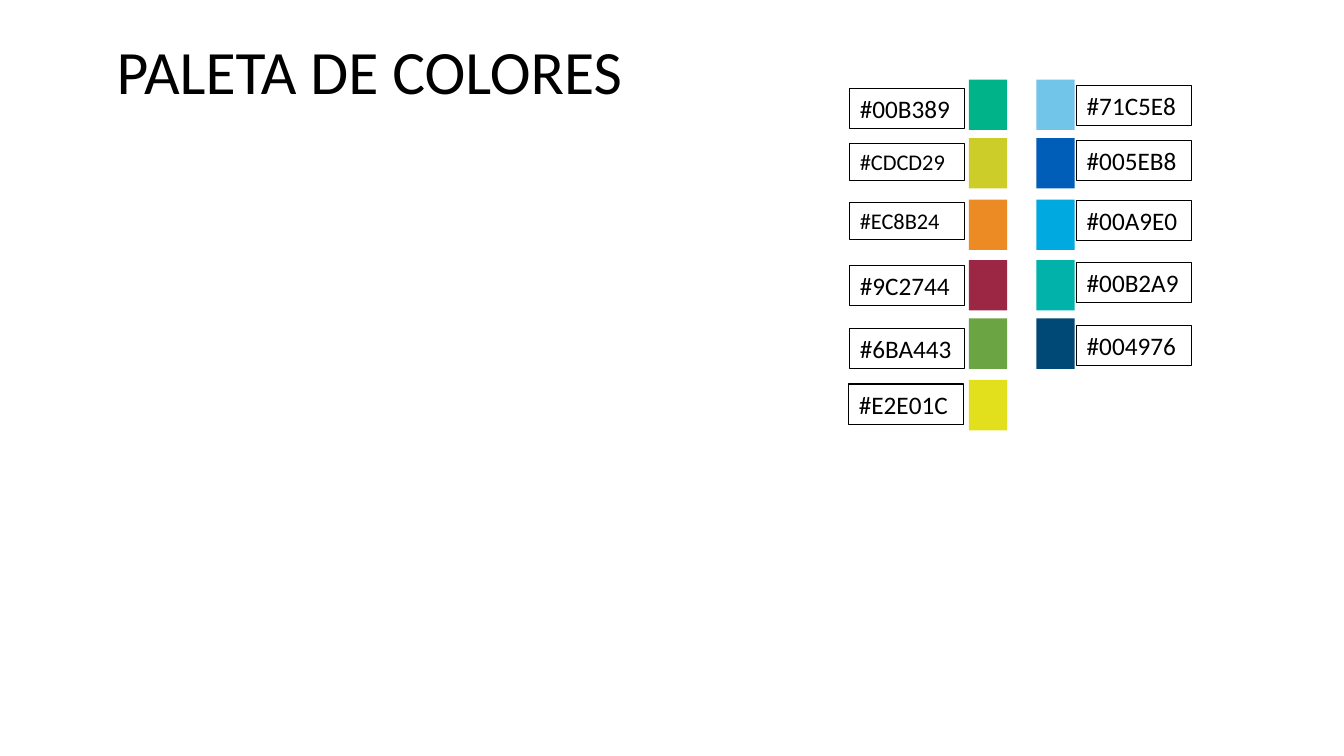
"""Build the colour palette slide."""
from pptx import Presentation
from pptx.dml.color import RGBColor
from pptx.enum.shapes import MSO_SHAPE
from pptx.enum.text import MSO_ANCHOR, PP_ALIGN
from pptx.util import Inches, Pt

TITLE = "PALETA DE COLORES"
COLORS = {"ink": "000000"}
TOPS = [0.79, 1.37, 1.98, 2.58, 3.16, 3.77]
SWATCH = (0.38, 0.5)
LABEL_W = 1.14
LABEL_H = {18: 0.4, 16: 0.37}
COLUMNS = [
    {"swatch": 10.28, "labels": [
        ("#71C5E8", 10.68, 0.85, 18),
        ("#005EB8", 10.68, 1.39, 18),
        ("#00A9E0", 10.68, 1.99, 18),
        ("#00B2A9", 10.68, 2.6, 18),
        ("#004976", 10.68, 3.23, 18),
    ]},
    {"swatch": 9.61, "labels": [
        ("#00B389", 8.43, 0.88, 18),
        ("#CDCD29", 8.43, 1.42, 16),
        ("#EC8B24", 8.43, 2.01, 16),
        ("#9C2744", 8.43, 2.63, 18),
        ("#6BA443", 8.43, 3.26, 18),
        ("#E2E01C", 8.42, 3.81, 18),
    ]},
]

deck = Presentation()
deck.slide_width, deck.slide_height = Inches(13.33), Inches(7.5)
slide = deck.slides.add_slide(deck.slide_layouts[6])


def add_text(text, box, size=18, anchor=MSO_ANCHOR.TOP, space=1.0, edge=None):
    """Add a text box, framed when an edge colour is given."""
    shape = slide.shapes.add_textbox(*map(Inches, box))
    if edge:
        shape.line.color.rgb = RGBColor.from_string(edge)
        shape.line.width = Pt(0.75)
    frame = shape.text_frame
    frame.word_wrap = True
    frame.vertical_anchor = anchor
    line = frame.paragraphs[0]
    line.alignment = PP_ALIGN.LEFT
    line.line_spacing = space
    run = line.add_run()
    run.text = text
    run.font.name = "Calibri"
    run.font.size = Pt(size)
    run.font.color.rgb = RGBColor.from_string(COLORS["ink"])


def add_swatch(code, left, top):
    """Add a plain rectangle filled with the colour code."""
    shape = slide.shapes.add_shape(
        MSO_SHAPE.RECTANGLE, *map(Inches, (left, top, *SWATCH)))
    shape.shadow.inherit = False
    shape.fill.solid()
    shape.fill.fore_color.rgb = RGBColor.from_string(code.lstrip("#"))
    shape.line.fill.background()


add_text(TITLE, (1.06, 0.01, 11.5, 1.45), size=44,
         anchor=MSO_ANCHOR.MIDDLE, space=0.9)
for column in COLUMNS:
    for top, (code, left, y, size) in zip(TOPS, column["labels"]):
        add_swatch(code, column["swatch"], top)
        add_text(code, (left, y, LABEL_W, LABEL_H[size]), size=size,
                 edge=COLORS["ink"])

deck.save("out.pptx")
